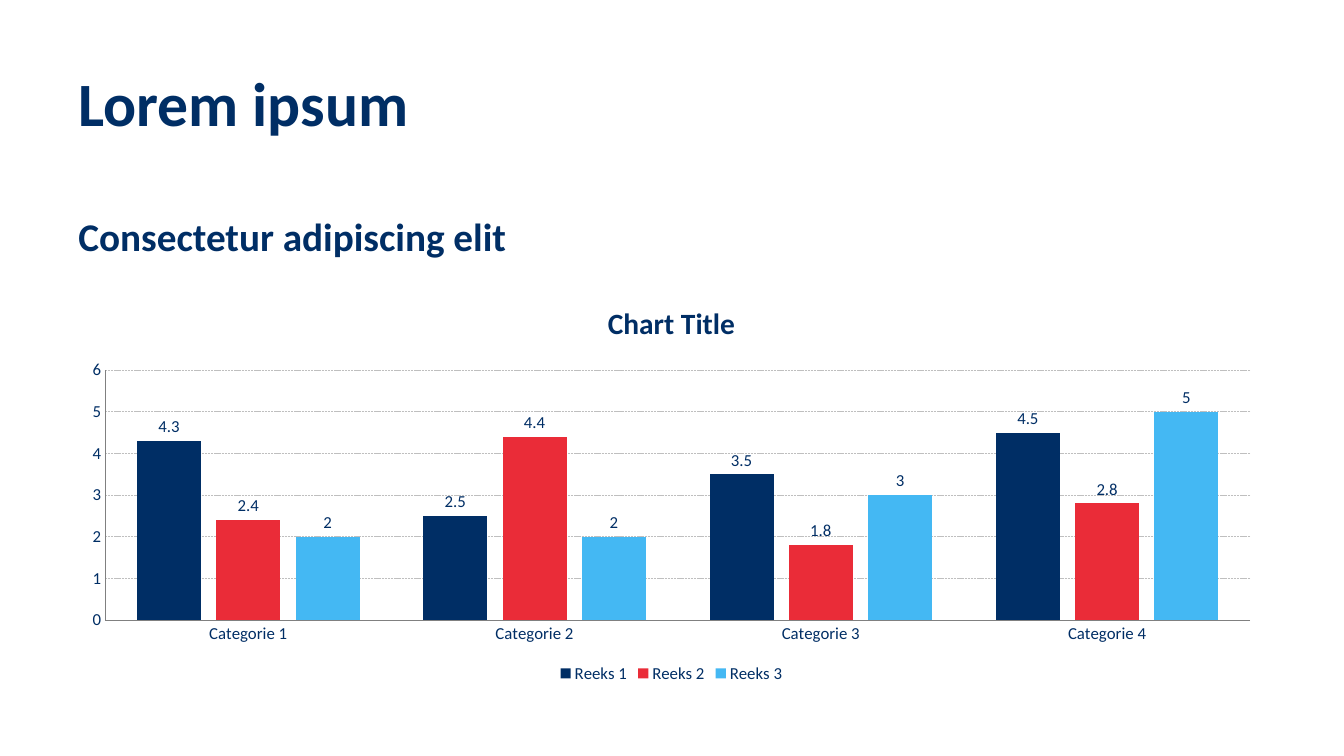
from dataclasses import dataclass

from pptx import Presentation
from pptx import util as u
from pptx.chart.chart import Chart
from pptx.chart.data import CategoryChartData
from pptx.dml.color import RGBColor
from pptx.enum import chart as ch, dml, text
from pptx.slide import Slide
from pptx.text.text import Font

FONT = "Calibri"
NAVY = "002E65"
RED = "EA2C38"
SKY = "44B8F3"
AXIS_GRAY = "808080"
GRID_GRAY = "BFBFBF"
LEFT, WIDTH = 0.68, 11.96


@dataclass
class Heading:
    text: str
    top: float
    height: float
    size: float


@dataclass
class Series:
    name: str
    values: tuple[float, ...]
    color: str


HEADINGS = [
    Heading("Lorem ipsum", 0.68, 1.17, 44),
    Heading("Consectetur adipiscing elit", 2.11, 0.71, 28),
]
CATEGORIES = [f"Categorie {n}" for n in range(1, 5)]
SERIES = [
    Series("Reeks 1", (4.3, 2.5, 3.5, 4.5), NAVY),
    Series("Reeks 2", (2.4, 4.4, 1.8, 2.8), RED),
    Series("Reeks 3", (2, 2, 3, 5), SKY),
]


def rgb(color: str) -> RGBColor:
    return RGBColor.from_string(color)


def style_font(font: Font, size: float, bold: bool = False, color: str = NAVY) -> None:
    font.name = FONT
    font.size = u.Pt(size)
    font.bold = bold
    font.color.rgb = rgb(color)


def add_text(s: Slide, content: str, *, top: float, height: float, size: float) -> None:
    sp = s.shapes.add_textbox(u.Inches(LEFT), u.Inches(top), u.Inches(WIDTH), u.Inches(height))
    tf = sp.text_frame
    tf.word_wrap = True
    tf.vertical_anchor = text.MSO_ANCHOR.TOP
    p = tf.paragraphs[0]
    p.line_spacing = 0.9
    r = p.add_run()
    r.text = content
    style_font(r.font, size, bold=True)


def style_axes(chart: Chart) -> None:
    for axis in (chart.category_axis, chart.value_axis):
        axis.major_tick_mark = ch.XL_TICK_MARK.NONE
        axis.minor_tick_mark = ch.XL_TICK_MARK.NONE
        style_font(axis.tick_labels.font, 12)
        axis.format.line.color.rgb = rgb(AXIS_GRAY)
        axis.format.line.width = u.Pt(0.5)
    value_axis = chart.value_axis
    value_axis.minimum_scale = 0
    value_axis.maximum_scale = 6
    value_axis.major_unit = 1
    value_axis.has_major_gridlines = True
    grid = value_axis.major_gridlines.format.line
    grid.color.rgb = rgb(GRID_GRAY)
    grid.width = u.Pt(0.5)
    grid.dash_style = dml.MSO_LINE.SQUARE_DOT


def add_column_chart(s: Slide) -> None:
    data = CategoryChartData()
    data.categories = CATEGORIES
    for series in SERIES:
        data.add_series(series.name, series.values)
    chart = s.shapes.add_chart(
        ch.XL_CHART_TYPE.COLUMN_CLUSTERED,
        u.Inches(LEFT), u.Inches(2.82), u.Inches(WIDTH), u.Inches(4), data,
    ).chart
    style_font(chart.font, 10)

    chart.has_title = True
    title = chart.chart_title
    title.include_in_layout = False
    r = title.text_frame.paragraphs[0].add_run()
    r.text = "Chart Title"
    style_font(r.font, 21, bold=True)

    chart.has_legend = True
    chart.legend.position = ch.XL_LEGEND_POSITION.BOTTOM
    chart.legend.include_in_layout = False
    style_font(chart.legend.font, 12)

    style_axes(chart)
    plot = chart.plots[0]
    plot.gap_width = 100
    plot.overlap = -24
    plot.vary_by_categories = False
    for series, columns in zip(SERIES, plot.series):
        columns.format.fill.solid()
        columns.format.fill.fore_color.rgb = rgb(series.color)
        labels = columns.data_labels
        labels.show_value = True
        labels.position = ch.XL_LABEL_POSITION.OUTSIDE_END
        style_font(labels.font, 12)


def main() -> None:
    prs = Presentation()
    prs.slide_width = u.Inches(13.33)
    prs.slide_height = u.Inches(7.5)
    s = prs.slides.add_slide(prs.slide_layouts[6])
    for heading in HEADINGS:
        add_text(s, heading.text, top=heading.top, height=heading.height, size=heading.size)
    add_column_chart(s)
    prs.save("out.pptx")


if __name__ == "__main__":
    main()
